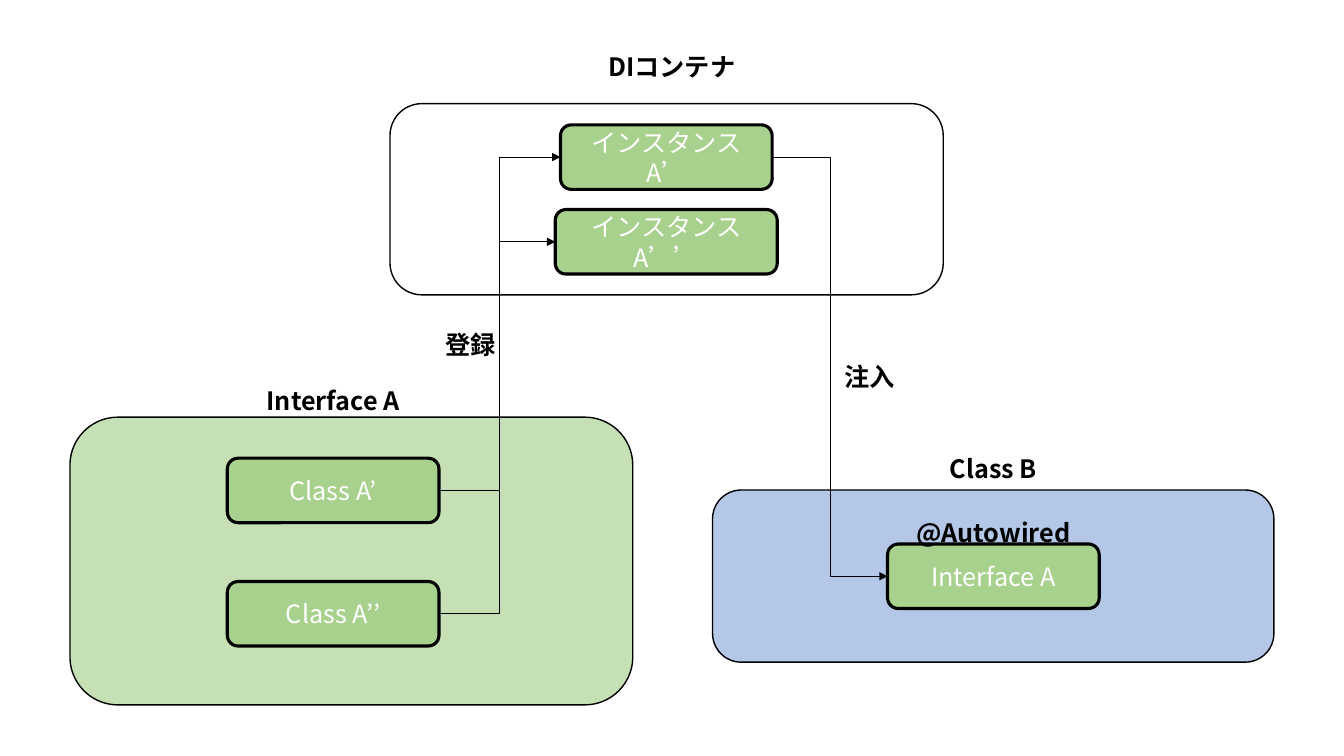
from typing import NamedTuple, Optional

from lxml.etree import SubElement
from pptx import Presentation
from pptx.dml.color import RGBColor
from pptx.enum.shapes import MSO_CONNECTOR as Link, MSO_SHAPE as Preset
from pptx.enum.text import MSO_ANCHOR as Anchor, MSO_AUTO_SIZE as AutoSize, PP_ALIGN as Align
from pptx.oxml.ns import qn
from pptx.shapes.autoshape import Shape
from pptx.shapes.connector import Connector
from pptx.slide import Slide
from pptx.text.text import TextFrame
from pptx.util import Pt

BLACK = RGBColor(0x00, 0x00, 0x00)
WHITE = RGBColor(0xFF, 0xFF, 0xFF)
PALE_GREEN = RGBColor(0xC5, 0xE0, 0xB4)
GREEN = RGBColor(0xA9, 0xD1, 0x8E)
BLUE = RGBColor(0xB4, 0xC7, 0xE7)

FONT = "Noto Sans CJK JP"
FONT_SIZE = 18
NODE_WIDTH, NODE_HEIGHT = 151.2, 46.1
CAPTION_WIDTH, LABEL_WIDTH, CAPTION_HEIGHT = 143.3, 82.8, 29.1
LEFT_SITE, RIGHT_SITE = 1, 3


class Panel(NamedTuple):
    """A large rounded area."""
    left: float
    top: float
    width: float
    height: float
    fill: Optional[RGBColor] = None


class Node(NamedTuple):
    """A green box naming a class or an instance."""
    text: str
    left: float
    top: float
    width: float = NODE_WIDTH


class Caption(NamedTuple):
    """A bold heading or arrow label."""
    text: str
    left: float
    top: float
    width: float = CAPTION_WIDTH


class Arrow(NamedTuple):
    """An elbow arrow between two nodes, bending at a given x."""
    start: Node
    end: Node
    bend: float


CLASS_A1 = Node("Class A’", 162.4, 327.3)
CLASS_A2 = Node("Class A’’", 162.4, 415.4)
INJECTED = Node("Interface A", 634, 388.6)
INSTANCE_A1 = Node("インスタンス A’", 400.4, 89.2)
INSTANCE_A2 = Node("インスタンス A’’", 396.6, 149.7, 158.6)
NODES = [CLASS_A1, CLASS_A2, INJECTED, INSTANCE_A1, INSTANCE_A2]

PANELS = [
    Panel(278.6, 74, 395.2, 136.6),
    Panel(509, 350, 401, 123, BLUE),
    Panel(50, 298, 402, 205.5, PALE_GREEN),
]
CAPTIONS = [
    Caption("DIコンテナ", 408.2, 33.1),
    Caption("Interface A", 166.3, 271.4),
    Caption("Class B", 637.9, 320.4),
    Caption("@Autowired", 637.9, 365.8),
    Caption("注入", 579.6, 254.2, LABEL_WIDTH),
    Caption("登録", 294.5, 231.8, LABEL_WIDTH),
]


def midway(start: Node, end: Node) -> float:
    """Return the x halfway across the gap between two nodes."""
    return (start.left + start.width + end.left) / 2


REGISTER_BEND = midway(CLASS_A1, INSTANCE_A1)
ARROWS = [
    Arrow(CLASS_A1, INSTANCE_A1, REGISTER_BEND),
    Arrow(CLASS_A2, INSTANCE_A2, REGISTER_BEND),
    Arrow(INSTANCE_A1, INJECTED, midway(INSTANCE_A1, INJECTED)),
]


def write(frame: TextFrame, text: str, color: RGBColor, bold: bool = False) -> None:
    """Write one centred run in the slide's font."""
    frame.word_wrap = True
    para = frame.paragraphs[0]
    para.alignment = Align.CENTER
    span = para.add_run()
    span.text = text
    font = span.font
    font.name, font.size, font.bold = FONT, Pt(FONT_SIZE), bold
    font.color.rgb = color
    SubElement(font._element, qn("a:ea"), typeface=FONT)


def add_rounded(page: Slide, area: Panel, line_width: float) -> Shape:
    """Draw a rounded rectangle with a black outline."""
    box = page.shapes.add_shape(
        Preset.ROUNDED_RECTANGLE,
        Pt(area.left), Pt(area.top), Pt(area.width), Pt(area.height))
    box.shadow.inherit = False
    if area.fill is None:
        box.fill.background()
    else:
        box.fill.solid()
        box.fill.fore_color.rgb = area.fill
    box.line.color.rgb = BLACK
    box.line.width = Pt(line_width)
    return box


def add_node(page: Slide, node: Node) -> Shape:
    """Draw a green box with its name in white."""
    area = Panel(node.left, node.top, node.width, NODE_HEIGHT, GREEN)
    box = add_rounded(page, area, 2.25)
    box.text_frame.vertical_anchor = Anchor.MIDDLE
    write(box.text_frame, node.text, WHITE)
    return box


def add_caption(page: Slide, caption: Caption) -> None:
    """Place a bold black caption."""
    box = page.shapes.add_textbox(
        Pt(caption.left), Pt(caption.top), Pt(caption.width), Pt(CAPTION_HEIGHT))
    write(box.text_frame, caption.text, BLACK, bold=True)
    box.text_frame.auto_size = AutoSize.SHAPE_TO_FIT_TEXT


def add_arrow(page: Slide, arrow: Arrow, boxes: dict[Node, Shape]) -> Connector:
    """Join the right side of one node to the left side of another."""
    connector = page.shapes.add_connector(Link.ELBOW, Pt(0), Pt(0), Pt(0), Pt(0))
    connector.begin_connect(boxes[arrow.start], RIGHT_SITE)
    connector.end_connect(boxes[arrow.end], LEFT_SITE)
    connector.line.color.rgb = BLACK
    connector.line.width = Pt(0.5)
    properties = connector._element.spPr
    SubElement(properties.find(qn("a:ln")), qn("a:tailEnd"), type="triangle")
    SubElement(properties, qn("a:effectLst"))
    start_x = arrow.start.left + arrow.start.width
    share = (arrow.bend - start_x) / (arrow.end.left - start_x)
    guides = properties.find(qn("a:prstGeom")).find(qn("a:avLst"))
    SubElement(guides, qn("a:gd"), name="adj1", fmla=f"val {round(share * 100000)}")
    return connector


def main() -> None:
    """Build the dependency injection slide."""
    deck = Presentation()
    deck.slide_width, deck.slide_height = Pt(960), Pt(540)
    page = deck.slides.add_slide(deck.slide_layouts[6])
    for panel in PANELS:
        add_rounded(page, panel, 1)
    boxes = {node: add_node(page, node) for node in NODES}
    for arrow in ARROWS:
        add_arrow(page, arrow, boxes)
    for caption in CAPTIONS:
        add_caption(page, caption)
    deck.save("out.pptx")


main()
